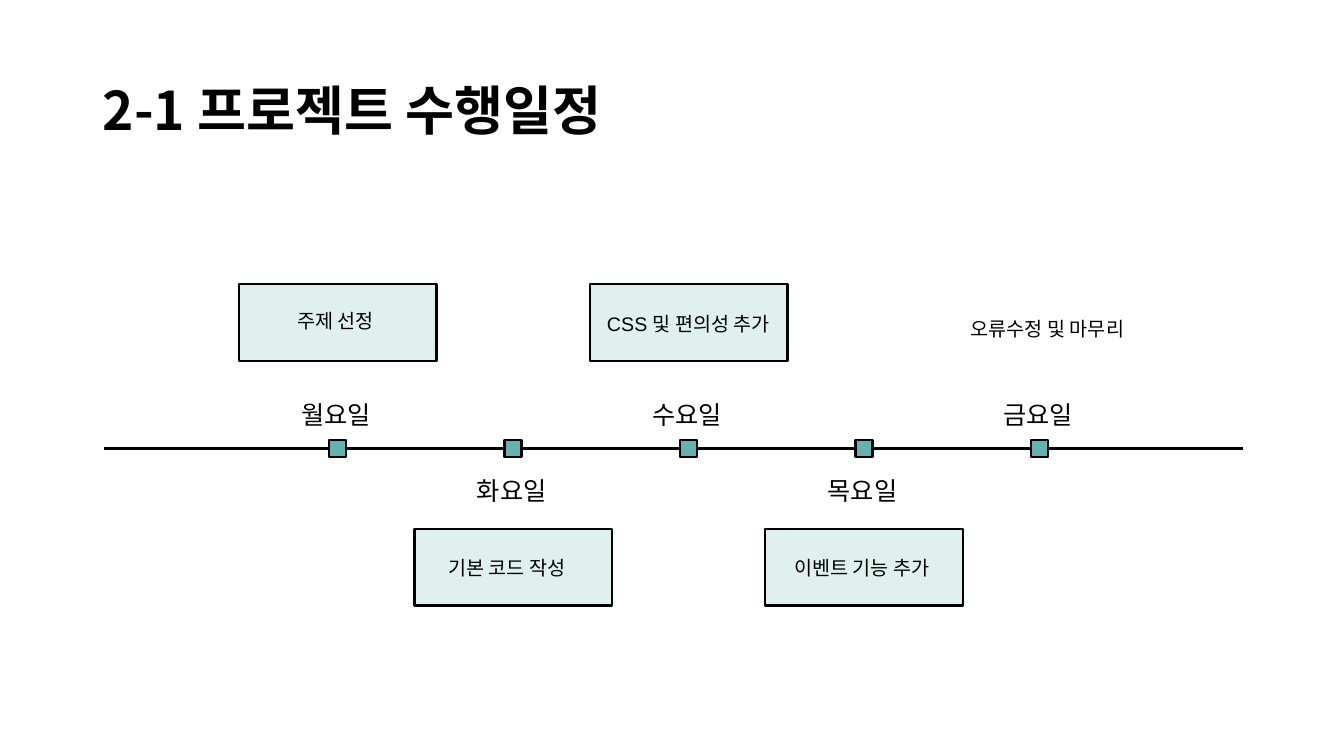
"""Builds the weekly project schedule slide with a five-day timeline."""
from lxml.etree import SubElement
from pptx import Presentation
from pptx.dml.color import RGBColor as RGB
from pptx.enum.shapes import MSO_CONNECTOR as CONN, MSO_SHAPE as SHAPE
from pptx.enum.text import MSO_ANCHOR as ANCHOR, PP_ALIGN as ALIGN
from pptx.oxml.ns import qn
from pptx.util import Inches as I, Pt

HANGUL = "Noto Sans CJK KR"
FIRST, STEP, AXIS = 3.35, 1.74, 4.45
BOX_W, BOX_H, MARK = 1.96, 0.76, 0.17

prs = Presentation()
prs.slide_width, prs.slide_height = I(13.33), I(7.5)
s = prs.slides.add_slide(prs.slide_layouts[6])


def add_text(text, x, y, w, h, size=18, font="Arial", bold=False,
             align=ALIGN.CENTER, anchor=ANCHOR.TOP, spacing=1.0):
    tf = s.shapes.add_textbox(I(x), I(y), I(w), I(h)).text_frame
    tf.word_wrap = True
    tf.vertical_anchor = anchor
    p = tf.paragraphs[0]
    p.alignment, p.line_spacing = align, spacing
    r = p.add_run()
    r.text = text
    r.font.size, r.font.name, r.font.bold = Pt(size), font, bold
    r.font.color.rgb = RGB.from_string("000000")
    SubElement(r.font._element, qn("a:ea"), typeface=HANGUL)


def add_rect(cx, cy, w, h, fill):
    sp = s.shapes.add_shape(SHAPE.RECTANGLE, I(cx - w / 2), I(cy - h / 2), I(w), I(h))
    sp.shadow.inherit = False
    sp.fill.solid()
    sp.fill.fore_color.rgb = RGB.from_string(fill)
    sp.line.color.rgb = RGB.from_string("000000")
    sp.line.width = Pt(1.75)


axis = s.shapes.add_connector(CONN.STRAIGHT, I(1.03), I(AXIS), I(12.33), I(AXIS))
axis.line.color.rgb = RGB.from_string("000000")
axis.line.width = Pt(2)
SubElement(axis._element.spPr, qn("a:effectLst"))

add_text("2-1 프로젝트 수행일정", 0.92, 0.4, 11.5, 1.45, size=38, font=HANGUL,
         bold=True, align=ALIGN.LEFT, anchor=ANCHOR.MIDDLE, spacing=0.9)

days = [
    ("월요일", "주제 선정", -0.02, 3.02, True),
    ("화요일", "기본 코드 작성", -0.06, 5.47, True),
    ("수요일", "CSS 및 편의성 추가", 0, 3.05, True),
    ("목요일", "이벤트 기능 추가", -0.02, 5.47, True),
    ("금요일", "오류수정 및 마무리", 0.08, 3.09, False),
]
for i, (day, task, shift, task_y, boxed) in enumerate(days):
    cx = FIRST + i * STEP
    box_y, day_y = (5.63, 4.67) if i % 2 else (3.2, 3.91)
    if boxed:
        add_rect(cx, box_y, BOX_W, BOX_H, "E0F0EF")
    add_rect(cx, AXIS, MARK, MARK, "66B2B0")
    add_text(day, cx - 0.7, day_y, 1.37, 0.4)
    add_text(task, cx + shift - BOX_W / 2, task_y, BOX_W, 0.34, size=14)

prs.save("out.pptx")
